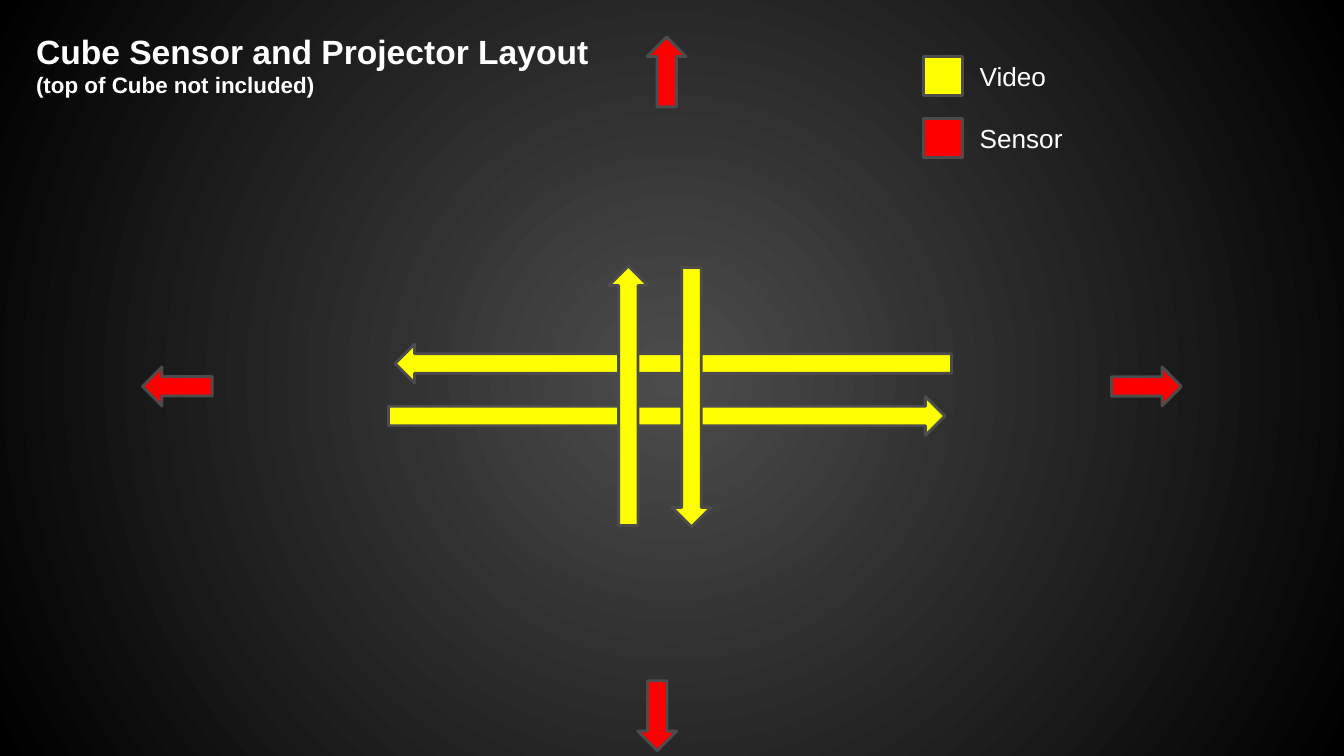
"""Build the cube sensor and projector layout slide."""
from lxml import etree
from pptx import Presentation
from pptx.dml.color import RGBColor
from pptx.enum.shapes import MSO_SHAPE
from pptx.enum.text import MSO_ANCHOR
from pptx.oxml import parse_xml
from pptx.util import Inches, Pt

LEFT_ARROW = MSO_SHAPE.LEFT_ARROW
RECTANGLE = MSO_SHAPE.RECTANGLE
TOP, BOTTOM = MSO_ANCHOR.TOP, MSO_ANCHOR.BOTTOM

YELLOW, RED, GRAY, BLACK, WHITE = "FFFF00", "FF0000", "4C4C4C", "000000", "FFFFFF"
THICKNESS = 0.29
DRAWING_NS = "http://schemas.openxmlformats.org/drawingml/2006/main"


def add_marker(kind, left, top, width, color, rotation=0):
    marker = slide.shapes.add_shape(
        kind, Inches(left), Inches(top), Inches(width), Inches(THICKNESS))
    marker.rotation = rotation
    marker.shadow.inherit = False
    marker.fill.solid()
    marker.fill.fore_color.rgb = RGBColor.from_string(color)
    marker.line.color.rgb = RGBColor.from_string(GRAY)
    marker.line.width = Pt(1.5)


def add_label(text, left, top, width, height, sizes, bold=False, anchor=TOP):
    label = slide.shapes.add_textbox(
        Inches(left), Inches(top), Inches(width), Inches(height))
    frame = label.text_frame
    frame.word_wrap = True
    frame.vertical_anchor = anchor
    frame.margin_left = frame.margin_right = Inches(0.1)
    frame.margin_top = frame.margin_bottom = Inches(0.1)
    paragraph = frame.paragraphs[0]
    paragraph.text = text
    for run, size in zip(paragraph.runs, sizes):
        run.font.name = "Arial"
        run.font.size = Pt(size)
        run.font.bold = bold
        run.font.color.rgb = RGBColor.from_string(WHITE)


prs = Presentation()
prs.slide_width, prs.slide_height = Inches(10), Inches(10 * 9 / 16)
slide = prs.slides.add_slide(prs.slide_layouts[6])

backdrop = slide.background.fill
backdrop.gradient()
for stop, color in zip(backdrop.gradient_stops, (GRAY, BLACK)):
    stop.color.rgb = RGBColor.from_string(color)
gradient = slide.element.find(f".//{{{DRAWING_NS}}}gradFill")
etree.strip_elements(gradient, f"{{{DRAWING_NS}}}lin")
gradient.append(parse_xml(
    f'<a:path xmlns:a="{DRAWING_NS}" path="circle">'
    '<a:fillToRect l="50000" t="50000" r="50000" b="50000"/></a:path>'))

arrows = [
    (1.06, 2.73, 0.52, RED, 0),
    (2.94, 2.56, 4.14, YELLOW, 0),
    (8.27, 2.73, 0.52, RED, 180),
    (2.89, 2.95, 4.14, YELLOW, 180),
    (4.7, 0.39, 0.52, RED, 90),
    (4.63, 5.18, 0.52, RED, 270),
    (3.71, 2.8, 1.93, YELLOW, 90),
    (4.18, 2.81, 1.93, YELLOW, 270),
]
for left, top, length, color, rotation in arrows:
    add_marker(LEFT_ARROW, left, top, length, color, rotation)

add_label("Cube Sensor and Projector Layout\v(top of Cube not included)",
          0.17, -0.11, 5.69, 0.94, (18, 12), bold=True, anchor=BOTTOM)

for row, (name, color) in enumerate([("Video", YELLOW), ("Sensor", RED)]):
    top = 0.42 + row * 0.46
    add_marker(RECTANGLE, 6.87, top, THICKNESS, color)
    add_label(name, 7.19, top - 0.07, 1.88, THICKNESS, (14,))

prs.save("out.pptx")
